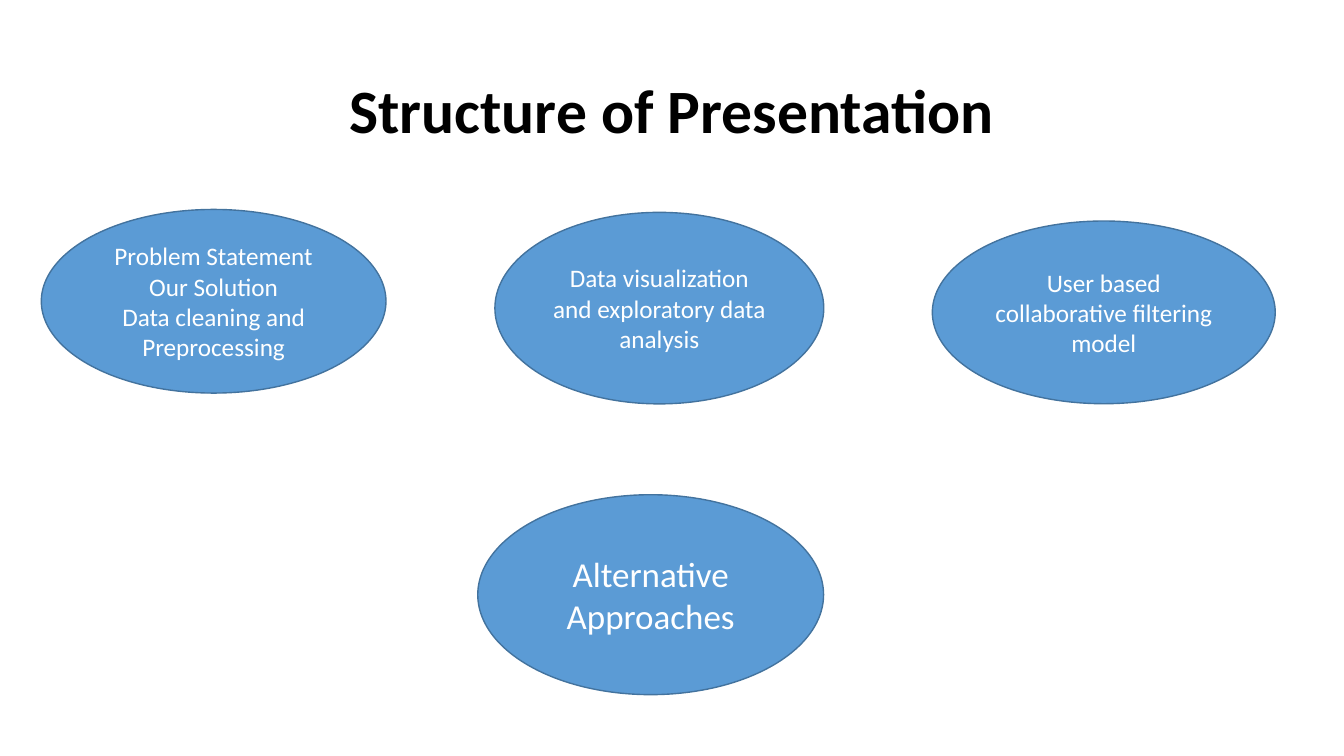
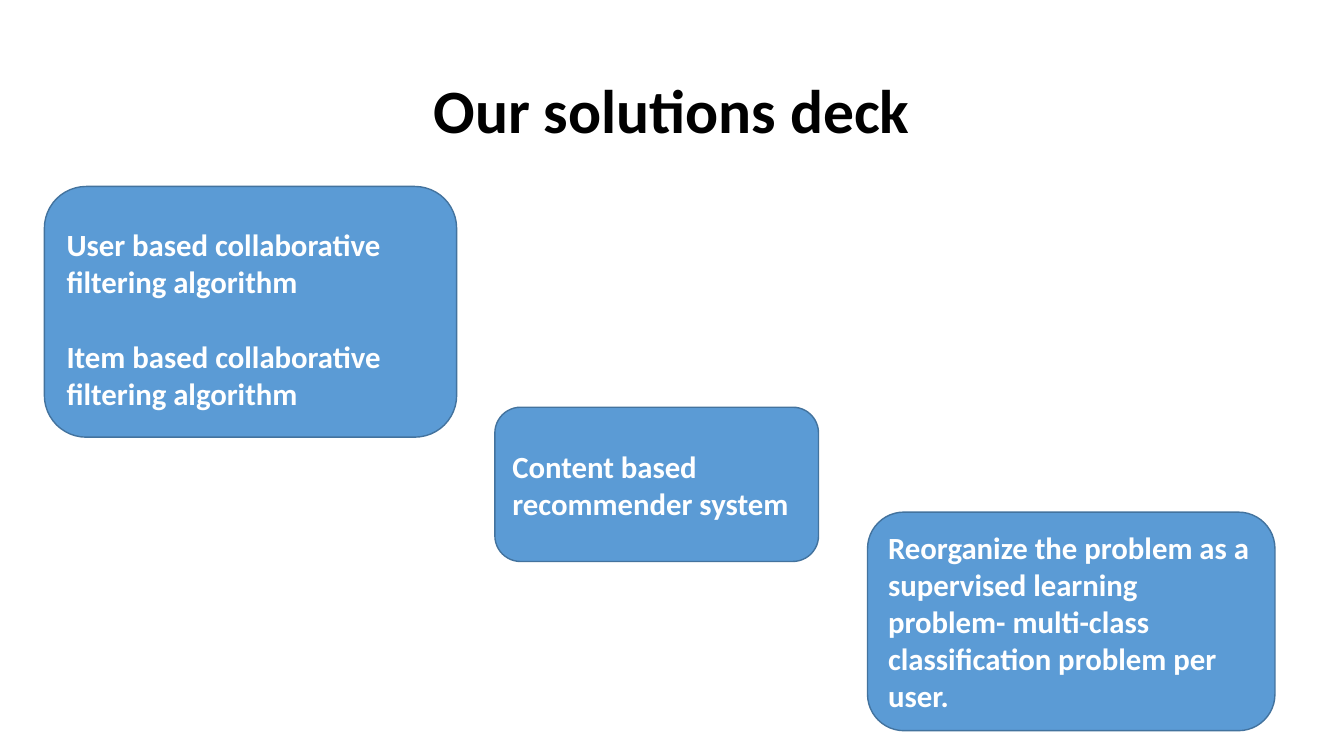
from dataclasses import dataclass

from pptx import Presentation
from pptx.dml.color import RGBColor
from pptx.enum.shapes import MSO_SHAPE as Preset
from pptx.enum.text import MSO_ANCHOR as Anchor, PP_ALIGN as Align
from pptx.util import Pt


# Shared look
@dataclass(frozen=True)
class Theme:
    font: str = "Calibri"
    title_color: RGBColor = RGBColor(0x00, 0x00, 0x00)
    text_color: RGBColor = RGBColor(0xFF, 0xFF, 0xFF)
    fill: RGBColor = RGBColor(0x5B, 0x9B, 0xD5)
    outline: RGBColor = RGBColor(0x43, 0x73, 0x9E)
    outline_width: float = 1
    title_size: float = 44
    topic_size: float = 18
    closing_size: float = 25
    solution_size: float = 22
    title_box: tuple = (66, 28.8, 828, 104.4)


THEME = Theme()

# Content: box (left, top, width, height), paragraphs
TOPICS = [
    ((29.5, 149.6, 246.2, 131.2),
     ["Problem Statement", "Our Solution", "Data cleaning and Preprocessing"]),
    ((353.5, 151.7, 234.9, 136.8),
     ["Data visualization and exploratory data analysis"]),
    ((666, 157.9, 244.9, 130.5),
     ["User based collaborative filtering model"]),
]
CLOSING_TOPIC = ((341.3, 353.4, 247, 142.8), ["Alternative Approaches"])

ALGORITHMS = ((31.7, 133.2, 294.5, 179.1),
              ["User based collaborative filtering algorithm",
               "Item based collaborative filtering algorithm"])
OTHER_SOLUTIONS = [
    ((353.5, 290.9, 231.2, 110.2), ["Content based recommender system"]),
    ((619.7, 365.8, 291, 156.1),
     ["Reorganize the problem as a supervised learning problem- "
      "multi-class classification problem per user."]),
]


# Elements
def write_text(shape, lines, size, color, align, bold=False, gap=0):
    frame = shape.text_frame
    frame.word_wrap = True
    frame.vertical_anchor = Anchor.MIDDLE
    for index, line in enumerate(lines):
        paragraph = frame.add_paragraph() if index else frame.paragraphs[0]
        paragraph.text = line
        paragraph.alignment = align
        paragraph.space_before = Pt(gap if index else 0)
        font = paragraph.font
        font.name, font.size, font.bold = THEME.font, Pt(size), bold
        font.color.rgb = color


def add_titled_slide(presentation, title):
    slide = presentation.slides.add_slide(presentation.slide_layouts[6])
    box = slide.shapes.add_textbox(*map(Pt, THEME.title_box))
    write_text(box, [title], THEME.title_size, THEME.title_color,
               Align.CENTER, bold=True)
    box.text_frame.paragraphs[0].line_spacing = 0.9
    return slide


def add_panel(slide, preset, box):
    shape = slide.shapes.add_shape(preset, *map(Pt, box))
    shape.shadow.inherit = False
    shape.fill.solid()
    shape.fill.fore_color.rgb = THEME.fill
    shape.line.color.rgb = THEME.outline
    shape.line.width = Pt(THEME.outline_width)
    return shape


def add_topic(slide, box, lines, size=THEME.topic_size):
    ellipse = add_panel(slide, Preset.OVAL, box)
    write_text(ellipse, lines, size, THEME.text_color, Align.CENTER)


def add_solution(slide, box, lines, gap=0):
    card = add_panel(slide, Preset.ROUNDED_RECTANGLE, box)
    write_text(card, lines, THEME.solution_size, THEME.text_color,
               Align.LEFT, bold=True, gap=gap)
    return card


# Slides
def build_structure(presentation):
    slide = add_titled_slide(presentation, "Structure of Presentation")
    for box, lines in TOPICS:
        add_topic(slide, box, lines)
    add_topic(slide, *CLOSING_TOPIC, size=THEME.closing_size)


def build_solutions(presentation):
    slide = add_titled_slide(presentation, "Our solutions deck")
    algorithms = add_solution(slide, *ALGORITHMS, gap=26.8)
    algorithms.text_frame.margin_top = Pt(13.4)
    for box, lines in OTHER_SOLUTIONS:
        add_solution(slide, box, lines)


def main():
    presentation = Presentation()
    presentation.slide_width, presentation.slide_height = Pt(960), Pt(540)
    build_structure(presentation)
    build_solutions(presentation)
    presentation.save("out.pptx")


main()
